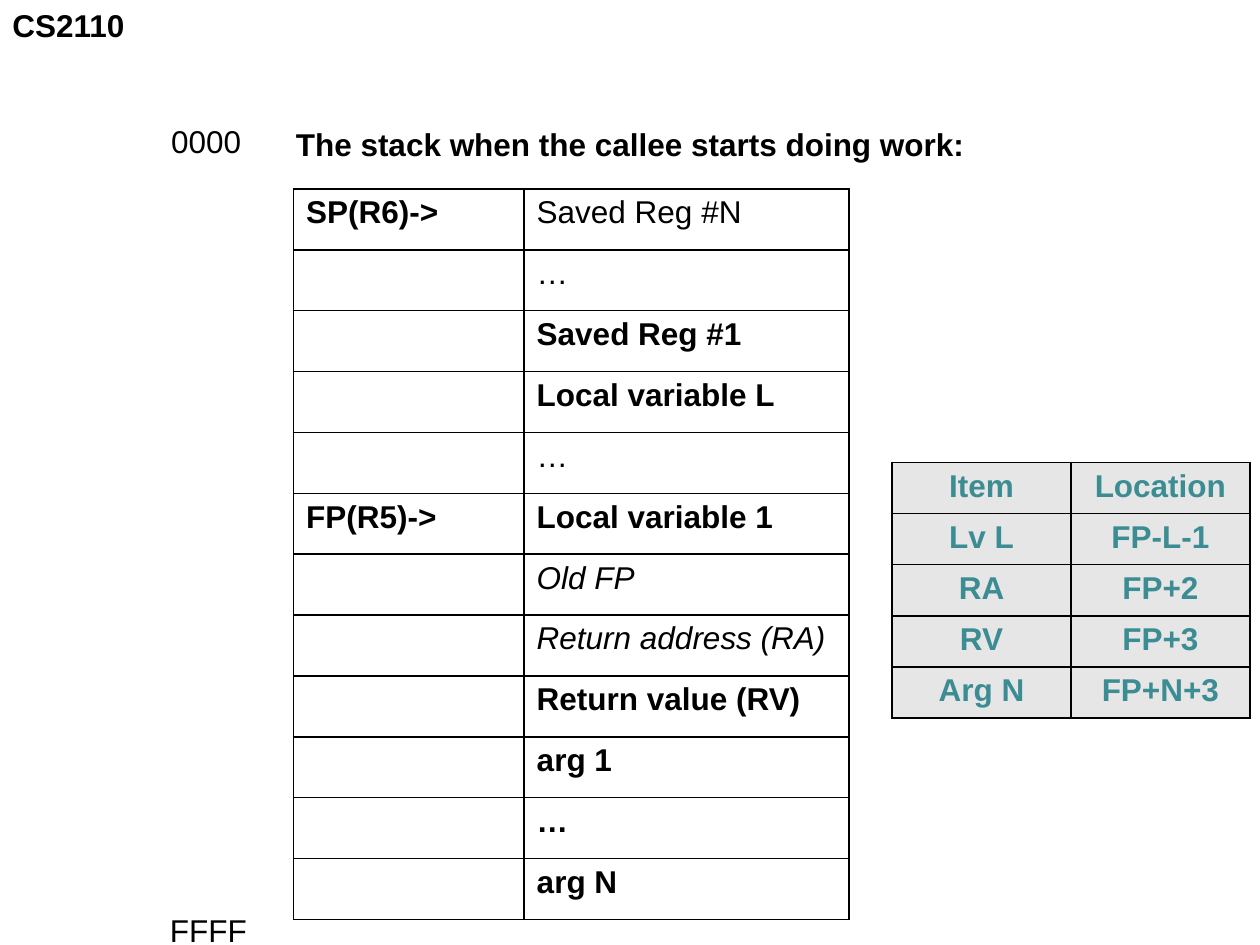
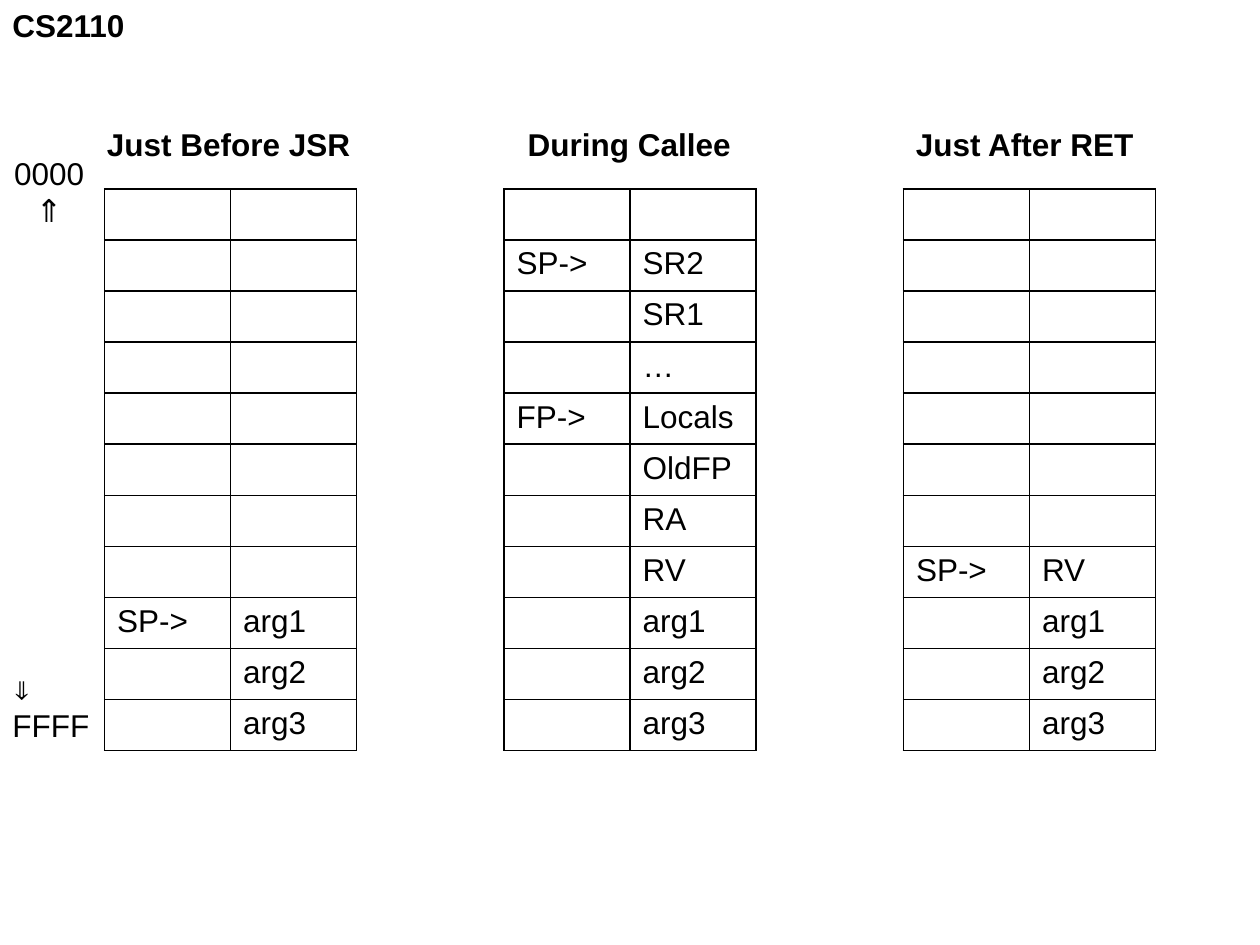
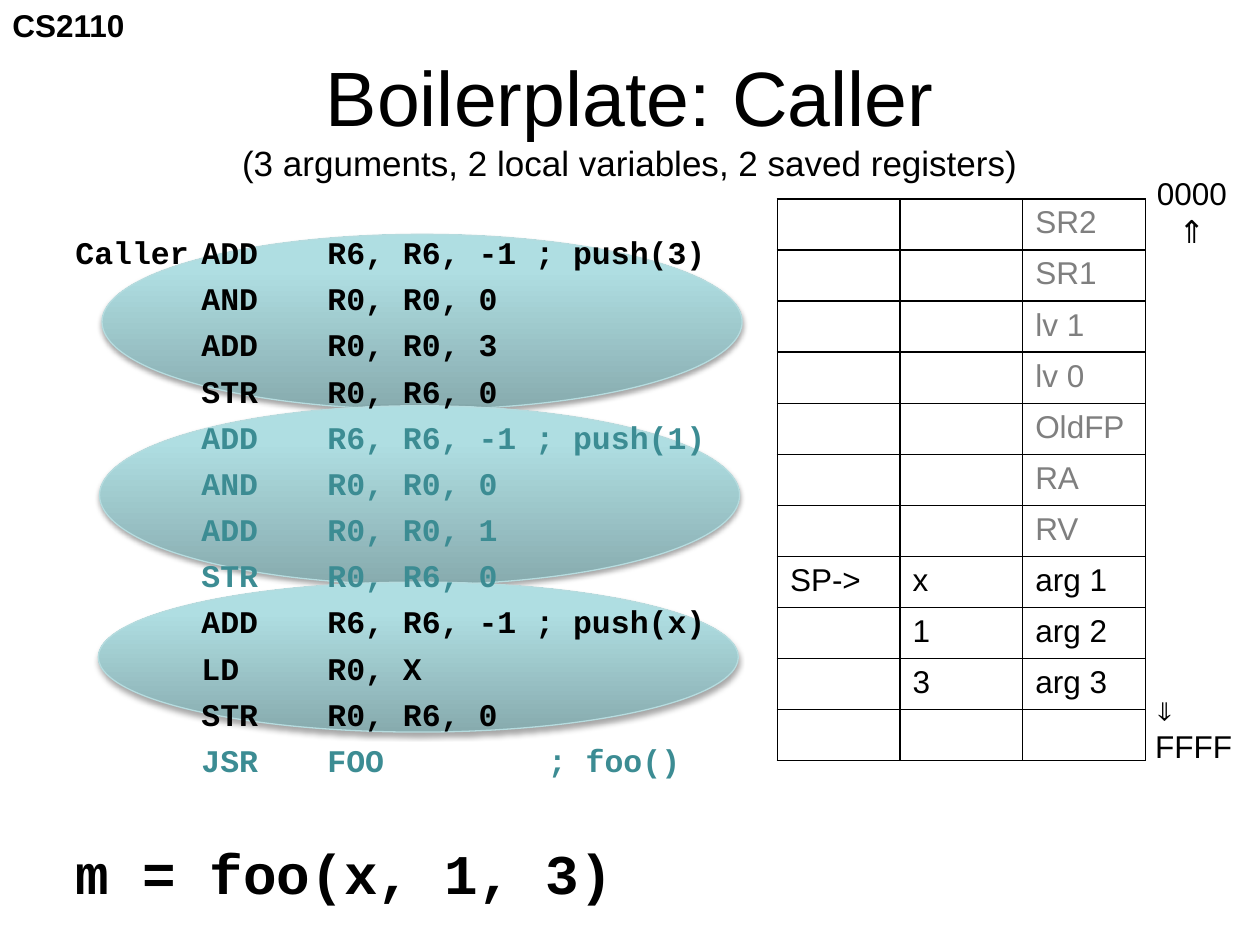
"""Build three slides on the call stack and the caller's boilerplate."""
from dataclasses import dataclass

from lxml.etree import SubElement
from pptx import Presentation
from pptx.dml.color import RGBColor
from pptx.enum.shapes import MSO_SHAPE as Preset
from pptx.enum.text import MSO_ANCHOR as Anchor, PP_ALIGN as Align
from pptx.oxml import parse_xml
from pptx.oxml.ns import nsdecls, qn
from pptx.slide import Slide
from pptx.table import _Cell as TableCell
from pptx.text.text import _Paragraph as Paragraph
from pptx.util import Inches, Pt

COLORS = {
    "ink": "000000",
    "teal": "3C8C93",
    "gray": "7F7F7F",
    "panel": "E6E6E6",
    "oval_edge": "B6DCDF",
    "oval_dark": "87ABAE",
    "oval_mid": "AFDEE2",
    "oval_light": "AFE0E4",
}
CODE_TABS = (1.0, 2.0, 3.75)
LINE_HEIGHT = 0.4
STACK_ROW = 4.46 / 11


@dataclass(frozen=True)
class Span:
    text: str
    bold: bool = False
    italic: bool = False
    color: str = "ink"
    size: int = 18
    font: str = "Arial"


Line = tuple[Span, ...]
BLANK = Span("")
BREAK = Span("\n")


@dataclass(frozen=True)
class Label:
    left: float
    top: float
    width: float
    height: float
    lines: tuple[Line, ...]
    align: Align = Align.LEFT
    anchor: Anchor = Anchor.TOP
    wrap: bool = False


@dataclass(frozen=True)
class Grid:
    left: float
    top: float
    columns: tuple[float, ...]
    row_height: float
    rows: tuple[Line, ...]
    fill: str = ""
    align: Align = Align.LEFT


@dataclass(frozen=True)
class Oval:
    left: float
    top: float
    height: float
    width: float = 5.08


def rgb(name: str) -> RGBColor:
    return RGBColor.from_string(COLORS[name])


def add_spans(para: Paragraph, line: Line) -> None:
    for span in line:
        if span == BREAK:
            para.add_line_break()
            continue
        run = para.add_run()
        run.text = span.text
        run.font.size = Pt(span.size)
        run.font.bold = span.bold
        run.font.italic = span.italic
        run.font.color.rgb = rgb(span.color)
        run.font.name = span.font
        SubElement(run.font._element, qn("a:ea"), typeface=span.font)


def add_label(page: Slide, label: Label) -> None:
    box = page.shapes.add_textbox(Inches(label.left), Inches(label.top),
                                  Inches(label.width), Inches(label.height))
    frame = box.text_frame
    frame.word_wrap = label.wrap
    frame.vertical_anchor = label.anchor
    for index, line in enumerate(label.lines):
        para = frame.add_paragraph() if index else frame.paragraphs[0]
        para.alignment = label.align
        add_spans(para, line)


def add_heading(page: Slide, left: float, width: float, text: str) -> None:
    line = (Span(text, bold=True),)
    add_label(page, Label(left, 0.94, width, LINE_HEIGHT, (line,)))


def add_address_ends(page: Slide, left: float, low_top: float, high_top: float) -> None:
    low = ((Span("0000"),), (Span("⇑", font="Noto Sans CJK JP"),))
    high = ((Span("⇓", font="Noto Sans Mono"),), (Span("FFFF"),))
    add_label(page, Label(left + 0.01, low_top, 0.76, 0.71, low, Align.CENTER))
    add_label(page, Label(left, high_top, 0.82, 0.71, high))


def add_borders(cell: TableCell) -> None:
    properties = cell._tc.get_or_add_tcPr()
    for position, side in enumerate(("lnL", "lnR", "lnT", "lnB")):
        properties.insert(position, parse_xml(
            f'<a:{side} {nsdecls("a")} w="12700"><a:solidFill>'
            f'<a:srgbClr val="{COLORS["ink"]}"/></a:solidFill></a:{side}>'))


def add_grid(page: Slide, grid: Grid) -> None:
    count = len(grid.rows)
    table = page.shapes.add_table(
        count, len(grid.columns), Inches(grid.left), Inches(grid.top),
        Inches(sum(grid.columns)), Inches(grid.row_height * count)).table
    table.first_row = False
    table.horz_banding = False
    for column, width in zip(table.columns, grid.columns):
        column.width = Inches(width)
    for row, spans in zip(table.rows, grid.rows):
        row.height = Inches(grid.row_height)
        for cell, span in zip(row.cells, spans):
            if grid.fill:
                cell.fill.solid()
                cell.fill.fore_color.rgb = rgb(grid.fill)
            else:
                cell.fill.background()
            add_borders(cell)
            if span.text:
                para = cell.text_frame.paragraphs[0]
                para.alignment = grid.align
                add_spans(para, (span,))


def add_oval(page: Slide, oval: Oval) -> None:
    shape = page.shapes.add_shape(Preset.OVAL, Inches(oval.left), Inches(oval.top),
                                  Inches(oval.width), Inches(oval.height))
    shape.line.color.rgb = rgb("oval_edge")
    shape.line.width = Pt(0.75)
    stops = "".join(
        f'<a:gs pos="{percent * 1000}"><a:srgbClr val="{COLORS[name]}"/></a:gs>'
        for percent, name in ((0, "oval_dark"), (80, "oval_mid"), (100, "oval_light")))
    properties = shape._element.spPr
    properties.find(qn("a:prstGeom")).addnext(parse_xml(
        f'<a:gradFill {nsdecls("a")} rotWithShape="1"><a:gsLst>{stops}</a:gsLst>'
        '<a:lin ang="16200000" scaled="0"/></a:gradFill>'))
    properties.append(parse_xml(
        f'<a:effectLst {nsdecls("a")}><a:outerShdw blurRad="{Pt(3.1)}" '
        f'dist="{Pt(1.8)}" dir="5400000" rotWithShape="0">'
        f'<a:srgbClr val="{COLORS["ink"]}"><a:alpha val="35000"/></a:srgbClr>'
        '</a:outerShdw></a:effectLst>'))


def add_code(page: Slide, blocks: tuple[tuple[str, str], ...], call: str) -> None:
    box = page.shapes.add_textbox(Inches(0.5), Inches(1.8), Inches(9), Inches(5.53))
    frame = box.text_frame
    frame.word_wrap = True
    lines = [Span(text, True, color=color, font="Courier New")
             for color, block in blocks for text in block.split("\n")]
    lines.append(Span(call, True, size=32, font="Courier New"))
    for index, span in enumerate(lines):
        para = frame.add_paragraph() if index else frame.paragraphs[0]
        tabs = SubElement(para._p.get_or_add_pPr(), qn("a:tabLst"))
        for stop in CODE_TABS:
            SubElement(tabs, qn("a:tab"), pos=str(Inches(stop)), algn="l")
        if index:
            para.space_before = Pt(34 if span.text == call else 4.8)
        add_spans(para, (span,))


def add_page(deck: Presentation) -> Slide:
    page = deck.slides.add_slide(deck.slide_layouts[6])
    course = (Span("CS2110", bold=True),)
    add_label(page, Label(0, 0, 1.1, LINE_HEIGHT, (course,)))
    return page


def stack_rows(texts: tuple[str, ...], pointers: dict[str, str],
               count: int = 11) -> tuple[Line, ...]:
    padded = ("",) * (count - len(texts)) + texts
    return tuple((Span(pointers.get(text, "")), Span(text)) for text in padded)


def build_frame_page(deck: Presentation) -> None:
    page = add_page(deck)
    slots = (
        Span("Saved Reg #N"), Span("…"), Span("Saved Reg #1", True),
        Span("Local variable L", True), Span("…"), Span("Local variable 1", True),
        Span("Old FP", italic=True), Span("Return address (RA)", italic=True),
        Span("Return value (RV)", True), Span("arg 1", True), Span("…", True),
        Span("arg N", True),
    )
    pointers = {"Saved Reg #N": "SP(R6)->", "Local variable 1": "FP(R5)->"}
    rows = tuple((Span(pointers.get(slot.text, ""), True), slot) for slot in slots)
    add_grid(page, Grid(2.33, 1.5, (1.83, 2.58), 5.8 / 12, rows))
    add_heading(page, 2.25, 5.56, "The stack when the callee starts doing work:")
    add_label(page, Label(1.26, 0.92, 0.76, LINE_HEIGHT, ((Span("0000"),),)))
    add_label(page, Label(1.25, 7.18, 0.82, LINE_HEIGHT, ((Span("FFFF"),),)))
    places = (("Item", "Location"), ("Lv L", "FP-L-1"), ("RA", "FP+2"),
              ("RV", "FP+3"), ("Arg N", "FP+N+3"))
    rows = tuple(tuple(Span(text, True, color="teal") for text in pair)
                 for pair in places)
    add_grid(page, Grid(7.08, 3.67, (1.42, 1.42), 2.03 / 5, rows, "panel", Align.CENTER))


def build_phases_page(deck: Presentation) -> None:
    page = add_page(deck)
    arguments = ("arg1", "arg2", "arg3")
    callee = ("SR2", "SR1", "…", "Locals", "OldFP", "RA", "RV")
    phases = (
        ("Just Before JSR", 0.75, 2.15, arguments, {"arg1": "SP->"}),
        ("During Callee", 4.09, 1.83, callee + arguments,
         {"SR2": "SP->", "Locals": "FP->"}),
        ("Just After RET", 7.17, 1.95, ("RV",) + arguments, {"RV": "SP->"}),
    )
    for index, (heading, left, width, texts, pointers) in enumerate(phases):
        add_grid(page, Grid(0.83 + 3.17 * index, 1.5, (1, 1), STACK_ROW,
                            stack_rows(texts, pointers)))
        add_heading(page, left, width, heading)
    add_address_ends(page, 0, 1.17, 5.25)


def build_caller_page(deck: Presentation) -> None:
    page = add_page(deck)
    for oval in (Oval(0.81, 1.86, 1.39), Oval(0.79, 3.22, 1.42), Oval(0.78, 4.62, 1.19)):
        add_oval(page, oval)
    title = (Span("Boilerplate: Caller", size=44), BREAK,
             Span("(3 arguments, 2 local variables, 2 saved registers)", size=20))
    add_label(page, Label(0.5, 0.3, 9, 1.25, (title,), Align.CENTER, Anchor.MIDDLE, True))
    blocks = (
        ("ink", "Caller\tADD\tR6, R6, -1 ; push(3)\n\tAND\tR0, R0, 0\n"
                "\tADD\tR0, R0, 3\n\tSTR\tR0, R6, 0"),
        ("teal", "\tADD\tR6, R6, -1 ; push(1)\n\tAND\tR0, R0, 0\n"
                 "\tADD\tR0, R0, 1\n\tSTR\tR0, R6, 0"),
        ("ink", "\tADD\tR6, R6, -1 ; push(x)\n\tLD\tR0, X\n\tSTR\tR0, R6, 0"),
        ("teal", "\tJSR\tFOO\t; foo()"),
    )
    add_code(page, blocks, "m = foo(x, 1, 3)")
    add_address_ends(page, 9.07, 1.33, 5.42)
    unused = ("SR2", "SR1", "lv 1", "lv 0", "OldFP", "RA", "RV")
    pushed = (("SP->", "x", "arg 1"), ("", "1", "arg 2"), ("", "3", "arg 3"), ("", "", ""))
    rows = tuple((BLANK, BLANK, Span(text, color="gray")) for text in unused)
    rows += tuple(tuple(Span(text) for text in row) for row in pushed)
    add_grid(page, Grid(6.17, 1.58, (2.92 / 3,) * 3, STACK_ROW, rows))


def main() -> None:
    deck = Presentation()
    deck.slide_width = Inches(10)
    deck.slide_height = Inches(7.5)
    build_frame_page(deck)
    build_phases_page(deck)
    build_caller_page(deck)
    deck.save("out.pptx")


if __name__ == "__main__":
    main()
